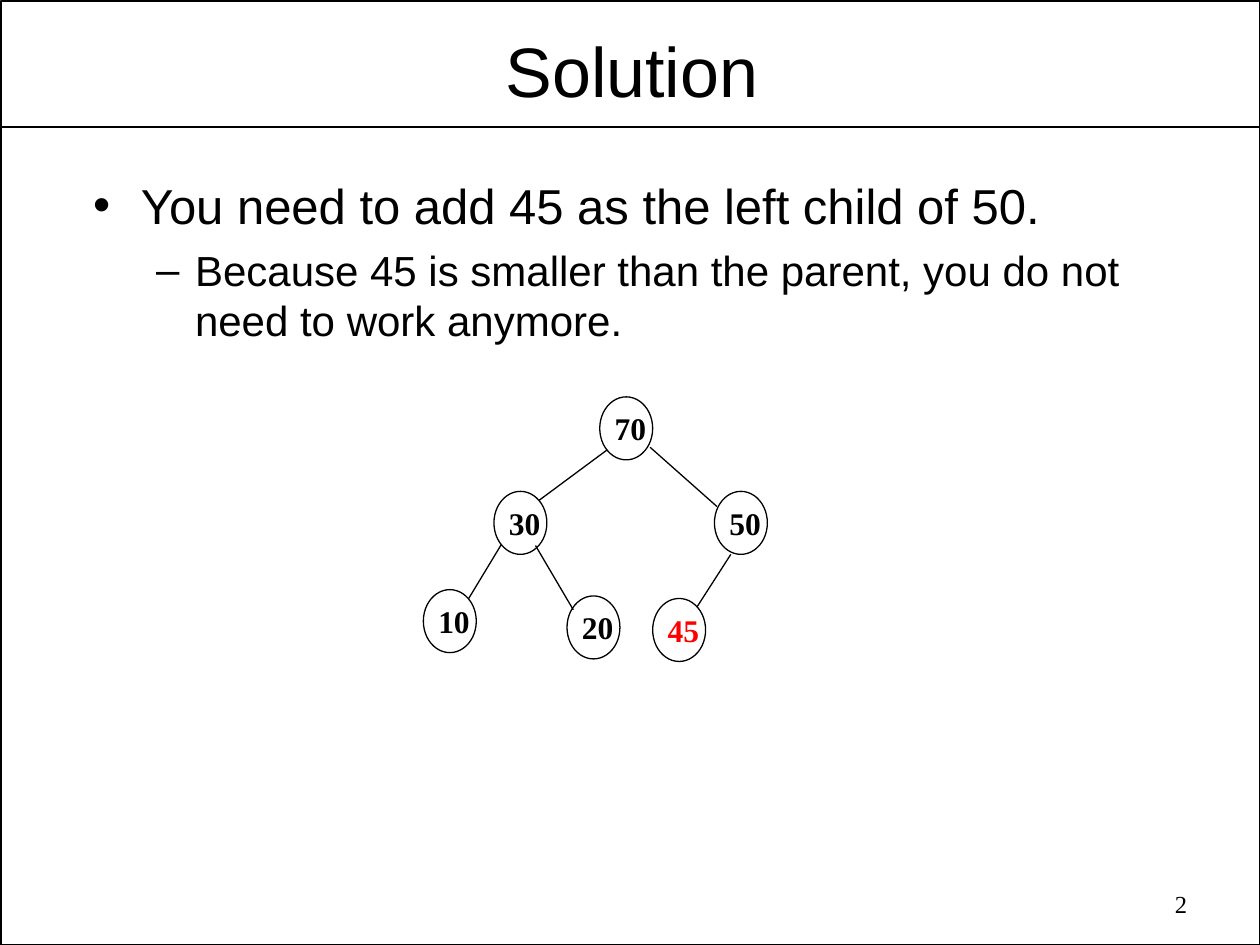
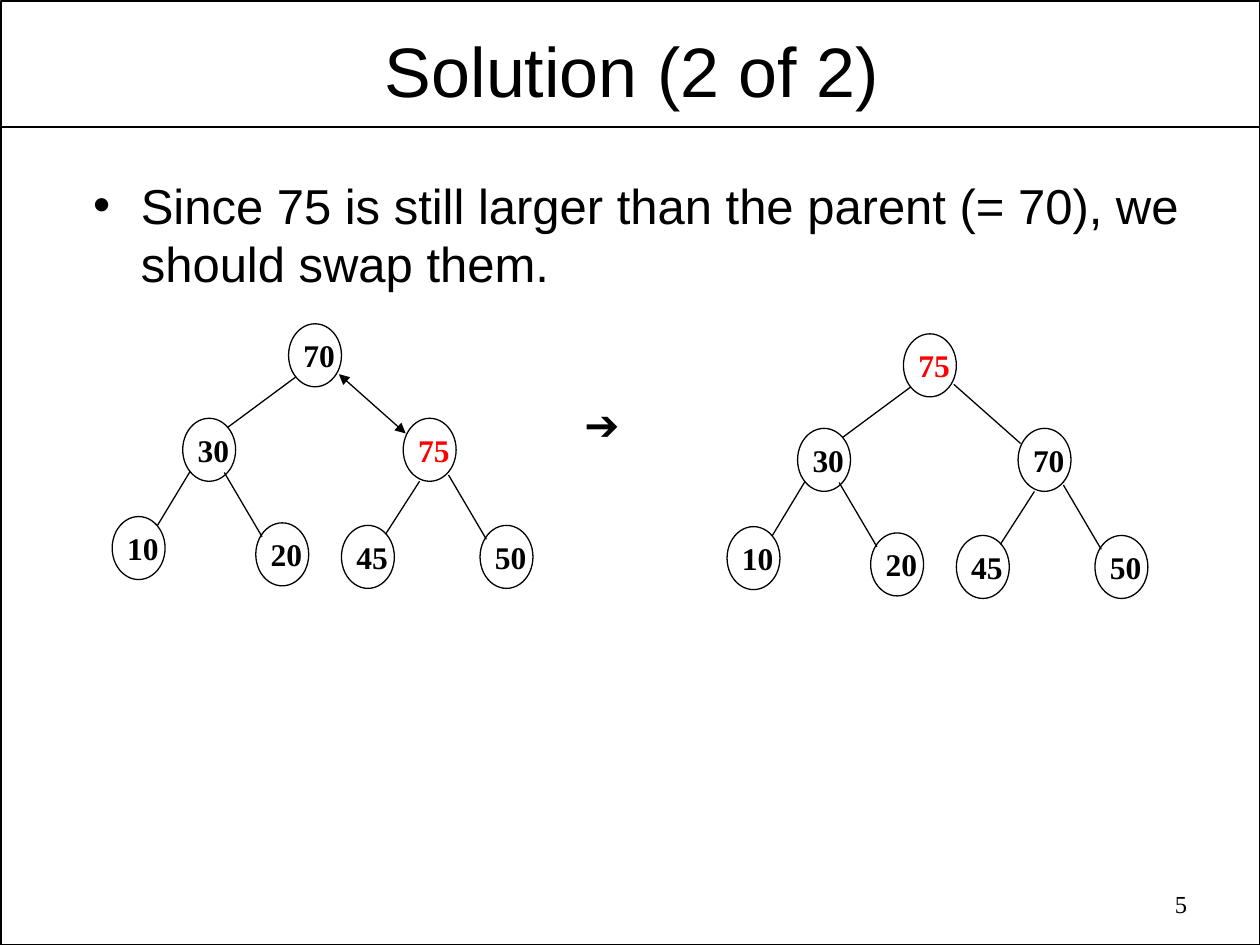
from dataclasses import dataclass

from lxml import etree
from pptx import Presentation
from pptx.dml.color import RGBColor
from pptx.enum import shapes, text
from pptx.oxml import ns
from pptx.util import Inches, Pt

BLACK = "000000"
RED = "FF0000"
SANS = "Arial"
SERIF = "Times New Roman"
BODY_INSETS = (0.1, 0.05)
TITLE_INSETS = (0.07, 0.03)
NODE_WIDTH, NODE_HEIGHT = 0.42, 0.5


@dataclass(frozen=True)
class Style:
    size: int
    font: str = SANS
    color: str = BLACK
    bold: bool = False
    align: text.PP_ALIGN = text.PP_ALIGN.LEFT


@dataclass(frozen=True)
class Level:
    style: Style
    bullet: str
    indent: float
    hanging: float
    before: int


@dataclass(frozen=True)
class Branch:
    node: tuple[float, float]
    upper: tuple[float, float] | None = None
    lower: tuple[float, float] | None = None


@dataclass(frozen=True)
class Heap:
    left: float
    top: float
    keys: tuple[int, ...]
    added: int
    swapped: int | None = None


@dataclass(frozen=True)
class Page:
    title: str
    points: tuple[str, ...]
    number: int
    body_height: float
    heaps: tuple[Heap, ...]
    becomes: bool = False


TITLE = Style(40, align=text.PP_ALIGN.CENTER)
NUMBER = Style(14, SERIF, align=text.PP_ALIGN.RIGHT)
LEVELS = (
    Level(Style(28), "•", 0.38, 0.38, 7),
    Level(Style(24), "–", 0.81, 0.31, 6),
)

BRANCHES = (
    Branch((0, 0)),
    Branch((-0.84, 0.75), (0.06, 0.42), (-0.48, 0.82)),
    Branch((0.91, 0.75), (0.4, 0.4), (0.93, 0.87)),
    Branch((-1.4, 1.53), (-0.78, 1.17), (-1.04, 1.6)),
    Branch((-0.26, 1.58), (-0.51, 1.18), (-0.21, 1.69)),
    Branch((0.42, 1.6), (1.04, 1.25), (0.77, 1.67)),
    Branch((1.52, 1.6), (1.27, 1.2), (1.57, 1.71)),
)

PAGES = (
    Page(
        "Solution",
        (
            "You need to add 45 as the left child of 50.",
            "Because 45 is smaller than the parent, you do not need to work anymore.",
        ),
        2,
        1.69,
        (Heap(4.76, 3.15, (70, 30, 50, 10, 20, 45), added=45),),
    ),
    Page(
        "Solution (2 of 2)",
        ("Since 75 is still larger than the parent (= 70), we should swap them.",),
        5,
        1.26,
        (
            Heap(2.29, 2.57, (70, 30, 75, 10, 20, 45, 50), added=75, swapped=2),
            Heap(7.17, 2.65, (75, 30, 70, 10, 20, 45, 50), added=75),
        ),
        becomes=True,
    ),
)


def rgb(value: str) -> RGBColor:
    return RGBColor.from_string(value)


def add_child(parent, tag: str, **attributes: str):
    return etree.SubElement(parent, ns.qn(tag), **attributes)


def set_style(paragraph, style: Style) -> None:
    paragraph.alignment = style.align
    font = paragraph.font
    font.size = Pt(style.size)
    font.name = style.font
    font.bold = style.bold
    font.color.rgb = rgb(style.color)


def add_frame(parent, left: float, top: float, width: float, height: float,
              insets: tuple[float, float] = BODY_INSETS, wrap: bool = True):
    box = parent.add_textbox(Inches(left), Inches(top), Inches(width), Inches(height))
    frame = box.text_frame
    frame.word_wrap = wrap
    frame.margin_left = frame.margin_right = Inches(insets[0])
    frame.margin_top = frame.margin_bottom = Inches(insets[1])
    return frame


def add_label(parent, label: str, style: Style, left: float, top: float,
              width: float, height: float, **frame_options) -> None:
    frame = add_frame(parent, left, top, width, height, **frame_options)
    paragraph = frame.paragraphs[0]
    paragraph.text = label
    set_style(paragraph, style)


def add_outline(parent, preset: shapes.MSO_SHAPE, left: float, top: float,
                width: float, height: float, weight: float) -> None:
    outline = parent.add_shape(preset, Inches(left), Inches(top), Inches(width), Inches(height))
    outline.shadow.inherit = False
    outline.fill.background()
    outline.line.color.rgb = rgb(BLACK)
    outline.line.width = Pt(weight)


def add_line(parent, start: tuple[float, float], end: tuple[float, float],
             weight: float, arrows: bool = False) -> None:
    line = parent.add_connector(shapes.MSO_CONNECTOR.STRAIGHT,
                                *map(Inches, (*start, *end)))
    line.line.color.rgb = rgb(BLACK)
    line.line.width = Pt(weight)
    properties = line._element.spPr
    if arrows:
        stroke = properties.find(ns.qn("a:ln"))
        for tag in ("a:headEnd", "a:tailEnd"):
            add_child(stroke, tag, type="triangle")
    add_child(properties, "a:effectLst")


def add_points(slide, points: tuple[str, ...], height: float) -> None:
    frame = add_frame(slide.shapes, 0.64, 1.29, 9.17, height)
    frame.margin_top = Inches(0.1)
    for index, (point, level) in enumerate(zip(points, LEVELS)):
        paragraph = frame.add_paragraph() if index else frame.paragraphs[0]
        paragraph.text = point
        paragraph.level = index
        properties = paragraph._p.get_or_add_pPr()
        properties.set("marL", str(Inches(level.indent)))
        properties.set("indent", str(-Inches(level.hanging)))
        add_child(add_child(properties, "a:buClr"), "a:srgbClr", val=BLACK)
        add_child(properties, "a:buFont", typeface=SANS)
        add_child(properties, "a:buChar", char=level.bullet)
        if index:
            paragraph.space_before = Pt(level.before)
        set_style(paragraph, level.style)


def add_node(slide, key: int, left: float, top: float, color: str) -> None:
    node = slide.shapes.add_group_shape().shapes
    add_label(node, str(key), Style(18, SERIF, color, bold=True),
              left + 0.02, top + 0.05, 0.45, 0.4, wrap=False)
    add_outline(node, shapes.MSO_SHAPE.OVAL, left, top, NODE_WIDTH, NODE_HEIGHT, 0.75)


def add_heap(slide, heap: Heap) -> None:
    def place(point: tuple[float, float]) -> tuple[float, float]:
        return heap.left + point[0], heap.top + point[1]

    for index, (key, branch) in enumerate(zip(heap.keys, BRANCHES)):
        add_node(slide, key, *place(branch.node), RED if key == heap.added else BLACK)
        if branch.upper and branch.lower:
            add_line(slide.shapes, place(branch.lower), place(branch.upper), 0.75,
                     arrows=index == heap.swapped)


def add_page(deck, page: Page) -> None:
    slide = deck.slides.add_slide(deck.slide_layouts[6])
    add_outline(slide.shapes, shapes.MSO_SHAPE.RECTANGLE, 0.01, 0.01, 9.99, 7.49, 1)
    add_line(slide.shapes, (0.01, 1.01), (9.99, 1.01), 1)
    add_label(slide.shapes, page.title, TITLE, 0.53, 0.19, 8.97, 0.72, insets=TITLE_INSETS)
    add_points(slide, page.points, page.body_height)
    add_label(slide.shapes, str(page.number), NUMBER, 7.18, 7.01, 2.34, 0.36)
    for heap in page.heaps:
        add_heap(slide, heap)
    if page.becomes:
        add_label(slide.shapes, "➔", Style(24), 4.54, 3.11, 0.53, 0.5, wrap=False)


def main() -> None:
    deck = Presentation()
    deck.slide_width = Inches(10)
    deck.slide_height = Inches(7.5)
    for page in PAGES:
        add_page(deck, page)
    deck.save("out.pptx")


if __name__ == "__main__":
    main()
